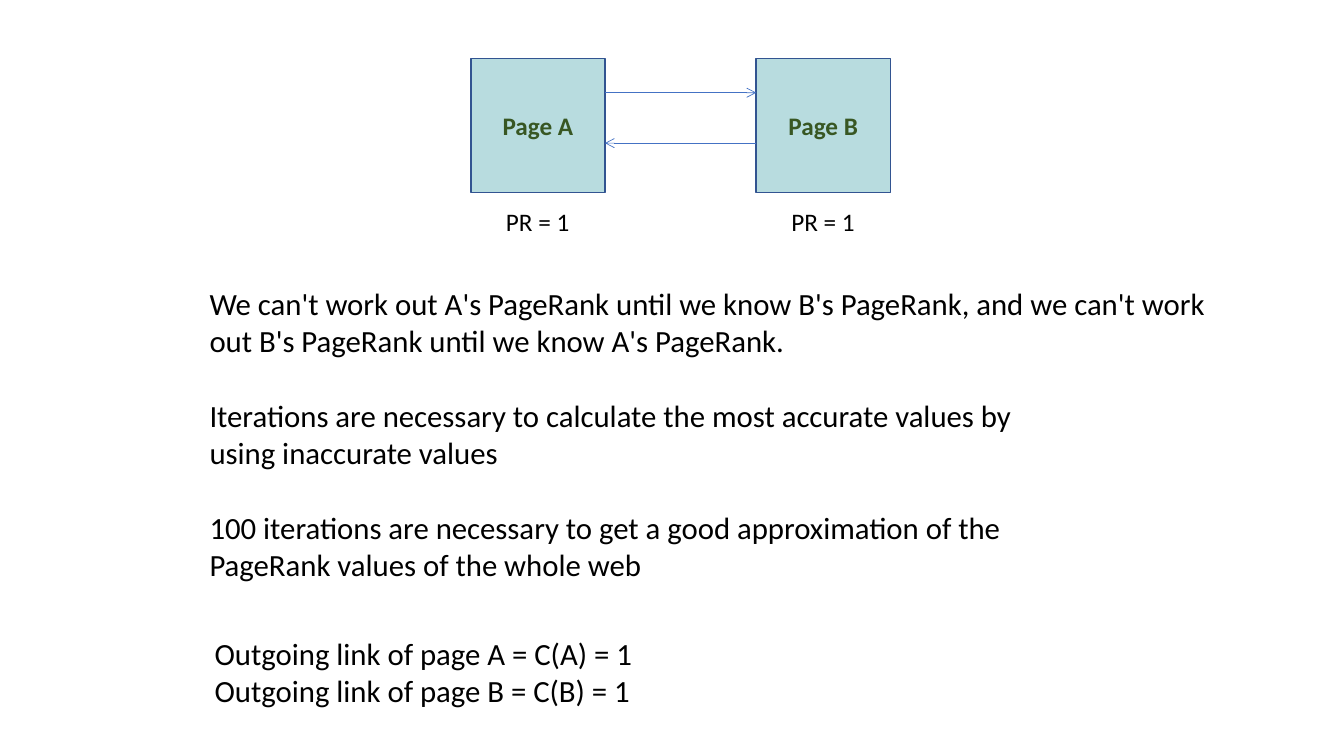
from dataclasses import dataclass

import pptx
import pptx.dml.color
import pptx.enum.shapes
import pptx.enum.text
import pptx.oxml
import pptx.oxml.ns
import pptx.util

PX = 9144  # EMU, 100 px to the inch


@dataclass(frozen=True)
class Theme:
    font: str = "Calibri"
    page_fill: str = "B8DCDF"
    page_line: str = "325491"
    page_text: str = "385723"
    arrow: str = "4472C4"
    text: str = "000000"
    label_size: int = 18
    body_size: int = 22
    paragraph_gap: float = 26.6


THEME = Theme()


def px(n):
    return pptx.util.Emu(n * PX)


def rgb(value):
    return pptx.dml.color.RGBColor.from_string(value)


def set_font(p, size, color, bold=False):
    p.font.name = THEME.font
    p.font.size = pptx.util.Pt(size)
    p.font.bold = bold
    p.font.color.rgb = rgb(color)


def add_page(s, x, y, side, name):
    sp = s.shapes.add_shape(pptx.enum.shapes.MSO_SHAPE.RECTANGLE,
                            px(x), px(y), px(side), px(side))
    sp.shadow.inherit = False
    sp.fill.solid()
    sp.fill.fore_color.rgb = rgb(THEME.page_fill)
    sp.line.color.rgb = rgb(THEME.page_line)
    sp.line.width = pptx.util.Pt(1)
    tf = sp.text_frame
    tf.vertical_anchor = pptx.enum.text.MSO_ANCHOR.MIDDLE
    p = tf.paragraphs[0]
    p.text = name
    p.alignment = pptx.enum.text.PP_ALIGN.CENTER
    set_font(p, THEME.label_size, THEME.page_text, bold=True)


def add_arrow(s, x1, x2, y):
    c = s.shapes.add_connector(pptx.enum.shapes.MSO_CONNECTOR.STRAIGHT,
                               px(x1), px(y), px(x2), px(y))
    c.line.color.rgb = rgb(THEME.arrow)
    c.line.width = pptx.util.Pt(0.5)
    ns = pptx.oxml.ns.nsdecls("a")
    c.line._get_or_add_ln().append(
        pptx.oxml.parse_xml(f'<a:tailEnd {ns} type="arrow"/>'))
    c._element.spPr.append(pptx.oxml.parse_xml(f"<a:effectLst {ns}/>"))


def add_text(s, x, y, w, h, blocks, size=THEME.body_size, wrap=False):
    """Write blocks of lines, with one line of space between blocks."""
    tf = s.shapes.add_textbox(px(x), px(y), px(w), px(h)).text_frame
    tf.word_wrap = wrap
    tf.auto_size = pptx.enum.text.MSO_AUTO_SIZE.SHAPE_TO_FIT_TEXT
    for b, lines in enumerate(blocks):
        for i, line in enumerate(lines):
            first = b == 0 and i == 0
            p = tf.paragraphs[0] if first else tf.add_paragraph()
            p.text = line
            if b > 0 and i == 0:
                p.space_before = pptx.util.Pt(THEME.paragraph_gap)
            set_font(p, size, THEME.text)


def main():
    prs = pptx.Presentation()
    prs.slide_width, prs.slide_height = px(1333), px(750)
    s = prs.slides.add_slide(prs.slide_layouts[6])

    page_a, page_b, top, side = 467, 750, 58, 133
    for x, name in ((page_a, "Page A"), (page_b, "Page B")):
        add_page(s, x, top, side, name)
        add_text(s, x + 25, 200, 83, 40, [["PR = 1"]], THEME.label_size)
    add_arrow(s, page_a + side, page_b, 92)
    add_arrow(s, page_b, page_a + side, 142)

    add_text(s, 198, 278, 1024, 195, [
        ["We can't work out A's PageRank until we know B's PageRank, and we can't work",
         "out B's PageRank until we know A's PageRank."],
        ["Iterations are necessary to calculate the most accurate values by",
         "using inaccurate values"],
    ])
    add_text(s, 198, 500, 821, 84, [
        ["100 iterations are necessary to get a good approximation of the",
         "PageRank values of the whole web"],
    ])
    add_text(s, 203, 625, 667, 84, [
        [f"Outgoing link of page {page} = C({page}) = 1" for page in "AB"],
    ], wrap=True)
    prs.save("out.pptx")


if __name__ == "__main__":
    main()
